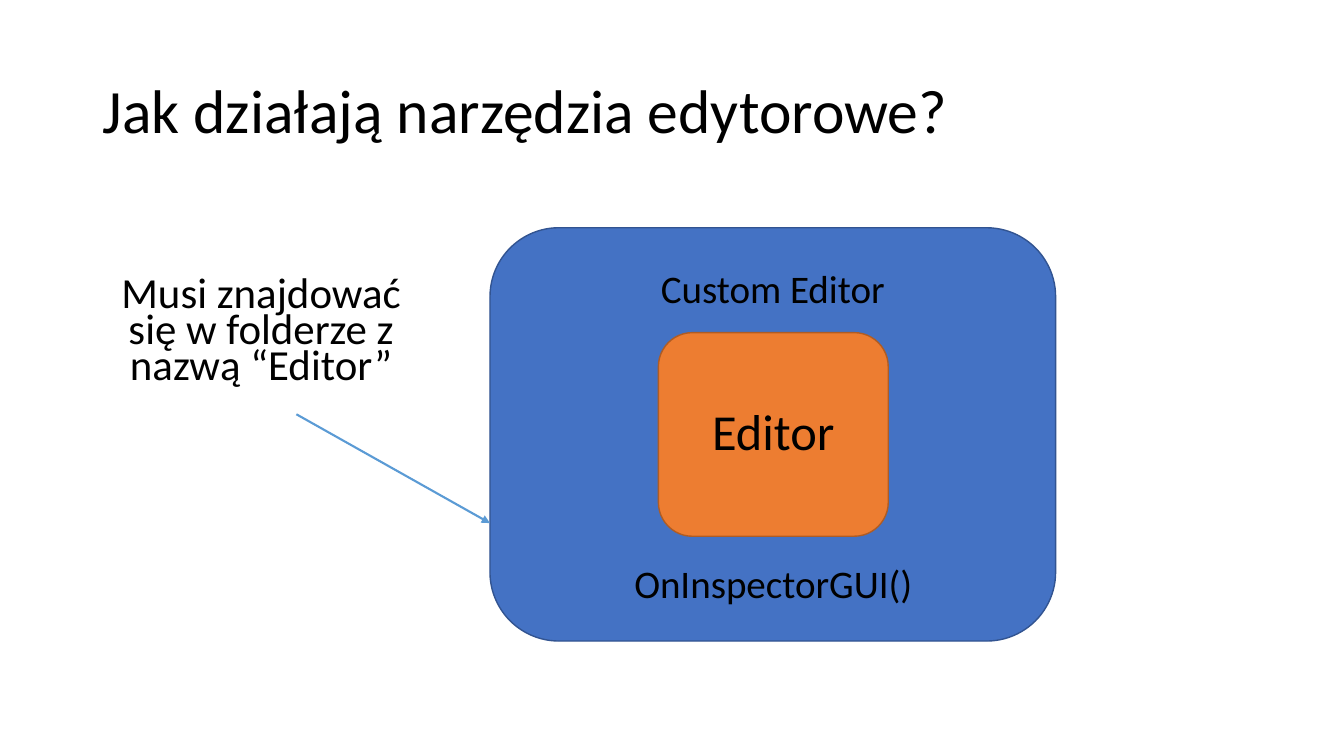
from lxml.etree import SubElement
from pptx import Presentation
from pptx.dml.color import RGBColor
from pptx.enum.shapes import MSO_CONNECTOR, MSO_SHAPE
from pptx.enum.text import MSO_ANCHOR, PP_ALIGN
from pptx.oxml.ns import qn
from pptx.util import Inches, Pt

TITLE = ("Jak działają narzędzia edytorowe?", (0.92, 0.4, 11.5, 1.45))
BOXES = [
    ((4.86, 2.26, 5.61, 4.1), "4472C4", "325491"),
    ((6.53, 3.3, 2.28, 2.02), "ED7D31", "AF5C24"),
]
LABELS = [
    ("Editor", (6.66, 3.92, 2.02, 0.78), 36, 0.9),
    ("Custom Editor", (6.35, 2.52, 2.63, 0.78), 27.9, 0.7),
    ("OnInspectorGUI()", (6.19, 5.45, 2.96, 0.78), 27.9, 0.7),
    ("Musi znajdować się w folderze z nazwą “Editor”",
     (1.06, 2.67, 3.06, 1.28), 30.6, 0.7),
]
ARROW = (2.94, 4.11, 4.86, 5.19)


def color(code):
    return RGBColor.from_string(code)


def inches(nums):
    return [Inches(n) for n in nums]


def add_text(slide, text, area, size=44, space=0.9, align=PP_ALIGN.CENTER):
    frame = slide.shapes.add_textbox(*inches(area)).text_frame
    frame.word_wrap = True
    frame.vertical_anchor = MSO_ANCHOR.MIDDLE
    para = frame.paragraphs[0]
    para.alignment = align
    para.line_spacing = space
    run = para.add_run()
    run.text = text
    run.font.name = "Calibri"
    run.font.size = Pt(size)
    run.font.color.rgb = color("000000")


def add_box(slide, area, fill, edge):
    box = slide.shapes.add_shape(MSO_SHAPE.ROUNDED_RECTANGLE, *inches(area))
    box.shadow.inherit = False
    box.fill.solid()
    box.fill.fore_color.rgb = color(fill)
    box.line.color.rgb = color(edge)
    box.line.width = Pt(1)


def add_arrow(slide, ends):
    arrow = slide.shapes.add_connector(MSO_CONNECTOR.STRAIGHT, *inches(ends))
    arrow.line.color.rgb = color("5B9BD5")
    arrow.line.width = Pt(1.5)
    SubElement(arrow.line._get_or_add_ln(), qn("a:tailEnd"), type="triangle")
    SubElement(arrow._element.spPr, qn("a:effectLst"))


def main():
    deck = Presentation()
    deck.slide_width, deck.slide_height = inches((13.33, 7.5))
    slide = deck.slides.add_slide(deck.slide_layouts[6])
    add_text(slide, *TITLE, align=PP_ALIGN.LEFT)
    for box in BOXES:
        add_box(slide, *box)
    add_arrow(slide, ARROW)
    for text, area, size, space in LABELS:
        add_text(slide, text, area, size=size, space=space)
    deck.save("out.pptx")


if __name__ == "__main__":
    main()
